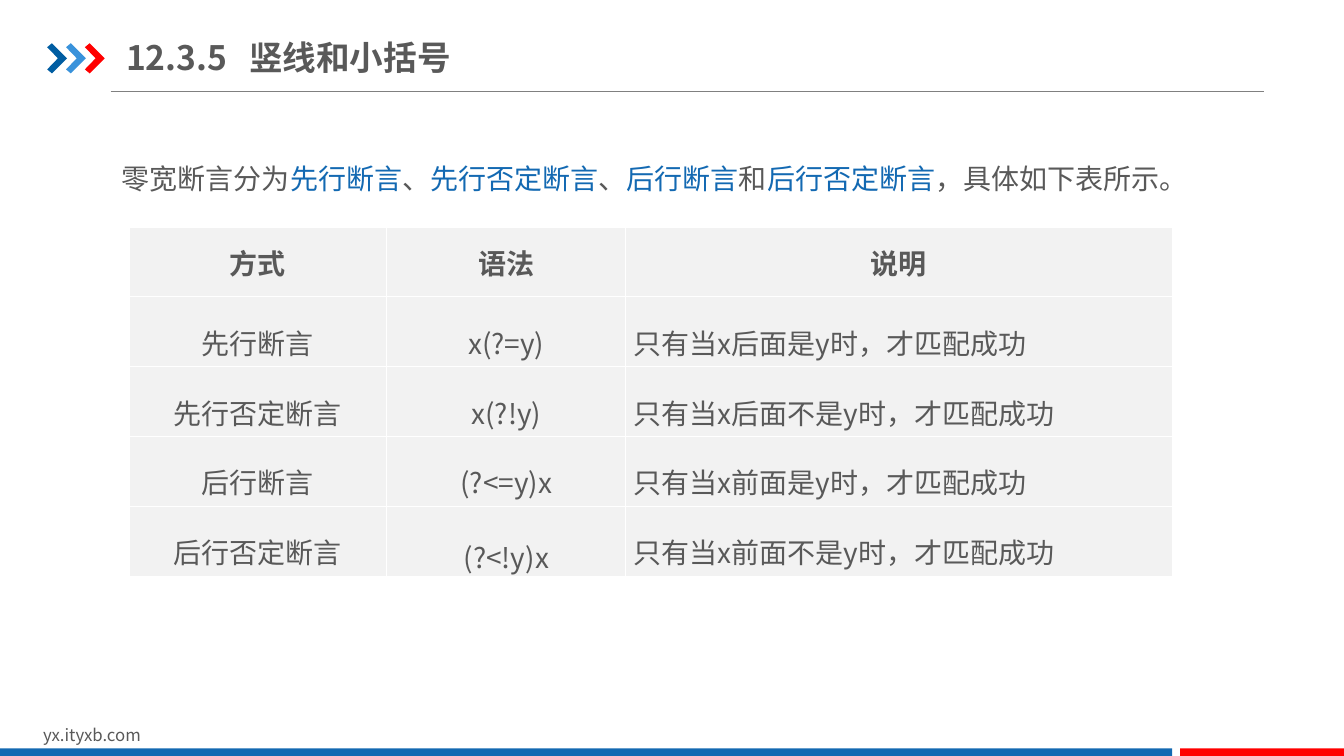
from dataclasses import dataclass

from lxml.etree import SubElement
from pptx import Presentation
from pptx.dml.color import RGBColor
from pptx.enum.shapes import MSO_CONNECTOR, MSO_SHAPE
from pptx.enum.text import MSO_ANCHOR as Anchor, PP_ALIGN as Align
from pptx.oxml.ns import qn
from pptx.util import Cm, Pt

FONT = "Noto Sans CJK SC"
GREY, BLUE, RED, WHITE, PALE = "595959", "1369B2", "FF0000", "FFFFFF", "F2F2F2"


@dataclass
class Area:
    left: float
    top: float
    width: float
    height: float

    def lengths(self) -> tuple:
        return Cm(self.left), Cm(self.top), Cm(self.width), Cm(self.height)


@dataclass
class Span:
    text: str
    color: str = GREY


@dataclass
class Bar:
    area: Area
    color: str


@dataclass
class Chevron:
    left: float
    color: str


def rgb(color: str) -> RGBColor:
    return RGBColor.from_string(color)


def paint(shape, color: str) -> None:
    shape.shadow.inherit = False
    shape.fill.solid()
    shape.fill.fore_color.rgb = rgb(color)
    shape.line.fill.background()


def set_font(para, size: float, bold: bool = False) -> None:
    font = para.font
    font.size, font.bold, font.name = Pt(size), bold, FONT
    font.color.rgb = rgb(GREY)
    defaults = para._p.get_or_add_pPr().find(qn("a:defRPr"))
    SubElement(defaults, qn("a:ea")).set("typeface", FONT)


def add_text(page, area: Area, spans: list[Span], size: float, bold: bool = False,
             spacing: float = 1.0, tab: float | None = None):
    frame = page.shapes.add_textbox(*area.lengths()).text_frame
    frame.word_wrap = True
    para = frame.paragraphs[0]
    para.line_spacing = spacing
    if tab is not None:
        stops = SubElement(para._p.get_or_add_pPr(), qn("a:tabLst"))
        stop = SubElement(stops, qn("a:tab"))
        stop.set("pos", str(Cm(tab)))
        stop.set("algn", "l")
    set_font(para, size, bold)
    for span in spans:
        run = para.add_run()
        run.text = span.text
        if span.color != GREY:
            run.font.color.rgb = rgb(span.color)
    return frame


def add_chevron(page, chevron: Chevron) -> None:
    outline = [(0, 0.1), (0.12, 0), (0.5, 0.38), (0.12, 0.76), (0, 0.66), (0.27, 0.38)]
    points = [(Cm(chevron.left + x), Cm(1.09 + y)) for x, y in outline]
    builder = page.shapes.build_freeform(*points[0])
    builder.add_line_segments(points[1:], close=True)
    paint(builder.convert_to_shape(), chevron.color)


def add_borders(cell) -> None:
    props = cell._tc.get_or_add_tcPr()
    for index, side in enumerate(("lnL", "lnR", "lnT", "lnB")):
        line = props.makeelement(qn(f"a:{side}"), {"w": str(Pt(1))})
        props.insert(index, line)
        fill = SubElement(line, qn("a:solidFill"))
        SubElement(fill, qn("a:srgbClr")).set("val", WHITE)


def fill_cell(cell, text: str, header: bool, align: Align, anchor: Anchor) -> None:
    cell.fill.solid()
    cell.fill.fore_color.rgb = rgb(PALE)
    add_borders(cell)
    cell.margin_left = cell.margin_right = Cm(0.19)
    cell.margin_top = cell.margin_bottom = Cm(0)
    cell.vertical_anchor = anchor
    cell.text = text
    para = cell.text_frame.paragraphs[0]
    para.alignment = align
    para.line_spacing = 1.0 if header else 1.5
    set_font(para, 20, header)


def add_assertion_table(page, rows: list[tuple], widths: list[float]) -> None:
    area = Area(3.25, 5.72, sum(widths), 1.76 * len(rows))
    table = page.shapes.add_table(len(rows), len(widths), *area.lengths()).table
    table.first_row = table.horz_banding = False
    for column, width in zip(table.columns, widths):
        column.width = Cm(width)
    for r, row in enumerate(rows):
        for c, text in enumerate(row):
            align = Align.LEFT if r and c == 2 else Align.CENTER
            last_syntax = (r, c) == (len(rows) - 1, 1)
            anchor = Anchor.BOTTOM if last_syntax else Anchor.MIDDLE
            fill_cell(table.cell(r, c), text, r == 0, align, anchor)


def main() -> None:
    deck = Presentation()
    deck.slide_width, deck.slide_height = Cm(33.87), Cm(19.05)
    page = deck.slides.add_slide(deck.slide_layouts[6])

    # Heading rule and chevrons
    rule = page.shapes.add_connector(
        MSO_CONNECTOR.STRAIGHT, Cm(2.79), Cm(2.31), Cm(31.85), Cm(2.31))
    rule.line.color.rgb = rgb("808080")
    rule.line.width = Pt(0.75)
    SubElement(rule._element.spPr, qn("a:effectLst"))
    for index, color in enumerate(("005DA2", "3992DB", RED)):
        add_chevron(page, Chevron(1.19 + 0.475 * index, color))

    # Footer
    add_text(page, Area(0.84, 18.13, 8.08, 0.77), [Span("yx.ityxb.com")], 12)
    for bar in (Bar(Area(0, 18.86, 29.54, 0.22), BLUE),
                Bar(Area(29.74, 18.86, 4.13, 0.22), RED)):
        paint(page.shapes.add_shape(MSO_SHAPE.RECTANGLE, *bar.area.lengths()), bar.color)

    # Title
    title = add_text(page, Area(3.18, 0.74, 10.57, 1.4),
                     [Span("12.3.5\t竖线和小括号")], 24, bold=True, tab=3.1)
    title.vertical_anchor = Anchor.MIDDLE
    title.margin_left = title.margin_right = Cm(0)
    title.margin_top = title.margin_bottom = Cm(0.18)

    # Introduction
    add_text(page, Area(2.82, 3.53, 27.71, 1.55), [
        Span("零宽断言分为"), Span("先行断言", BLUE),
        Span("、"), Span("先行否定断言", BLUE),
        Span("、"), Span("后行断言", BLUE),
        Span("和"), Span("后行否定断言", BLUE),
        Span("，具体如下表所示。"),
    ], 20, spacing=1.5)

    # Table of assertions
    add_assertion_table(page, [
        ("方式", "语法", "说明"),
        ("先行断言", "x(?=y)", "只有当x后面是y时，才匹配成功"),
        ("先行否定断言", "x(?!y)", "只有当x后面不是y时，才匹配成功"),
        ("后行断言", "(?<=y)x", "只有当x前面是y时，才匹配成功"),
        ("后行否定断言", "(?<!y)x", "只有当x前面不是y时，才匹配成功"),
    ], [6.5, 6.02, 13.77])

    deck.save("out.pptx")


if __name__ == "__main__":
    main()
